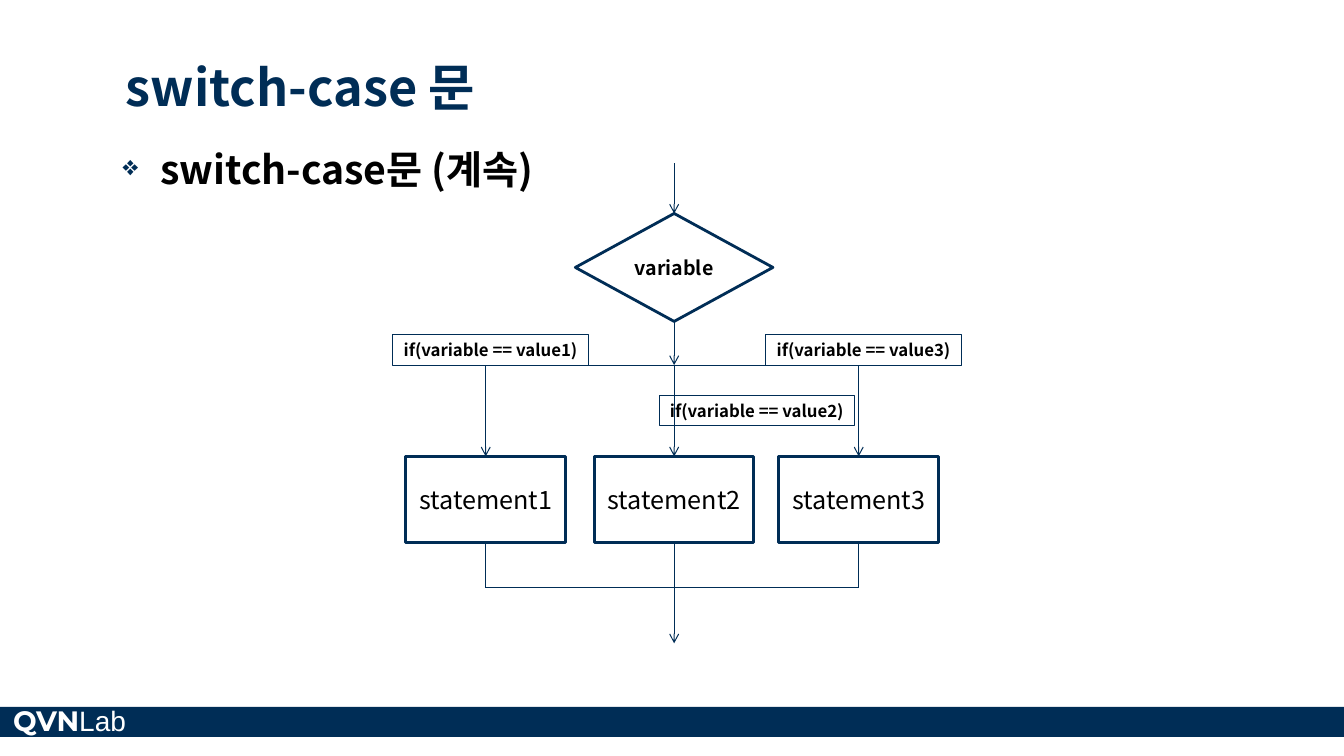
from dataclasses import dataclass
from lxml import etree
from pptx import Presentation
from pptx.dml.color import RGBColor
from pptx.enum import shapes as es, text as et
from pptx.oxml import ns
from pptx.util import Cm, Pt


@dataclass(frozen=True)
class Theme:
    navy: RGBColor = RGBColor(0x00, 0x2D, 0x56)
    white: RGBColor = RGBColor(0xFF, 0xFF, 0xFF)
    black: RGBColor = RGBColor(0, 0, 0)
    face: str = "Noto Sans CJK KR"
    title: int = 36
    body: int = 28
    brand: int = 20
    step: int = 18
    test: int = 14
    label: int = 12
    thin: float = 0.75
    thick: float = 2


T = Theme()
SHAPE = es.MSO_SHAPE
MID = 16.99
TOP, FORK, BOX, JOIN = 5.38, 9.2, 11.5, 14.81
BOX_W, BOX_H = 4.02, 2.17
LANES = (12.24, MID, 21.64)
LABELS = ((9.9, 8.43), (16.61, 9.96), (19.3, 8.43))


def tag(parent, name, **attrs):
    return etree.SubElement(parent, ns.qn(name), attrs)


def put(item, **vals):
    for key, val in vals.items():
        setattr(item, key, val)


def write(para, words, size, color=T.black, bold=True, face=T.face):
    run = para.add_run()
    run.text = words
    put(run.font, size=Pt(size), bold=bold, name=face)
    run.font.color.rgb = color
    tag(run.font._element, "a:ea", typeface=face)


def place(item, x, y, w, h):
    put(item, left=Cm(x), top=Cm(y), width=Cm(w), height=Cm(h))


def text_box(slide, x, y, w, h):
    box = slide.shapes.add_textbox(Cm(x), Cm(y), Cm(w), Cm(h))
    box.text_frame.word_wrap = True
    return box.text_frame.paragraphs[0]


def node(slide, kind, x, y, w, h, fill=None, line=None):
    item = slide.shapes.add_shape(kind, Cm(x), Cm(y), Cm(w), Cm(h))
    item.shadow.inherit = False
    if fill is None:
        item.fill.background()
    else:
        item.fill.solid()
        item.fill.fore_color.rgb = fill
    if line is None:
        item.line.fill.background()
    else:
        item.line.color.rgb = T.navy
        item.line.width = Pt(line)
    frame = item.text_frame
    put(frame, word_wrap=False, vertical_anchor=et.MSO_ANCHOR.MIDDLE)
    para = frame.paragraphs[0]
    para.alignment = et.PP_ALIGN.CENTER
    return para


def link(slide, x1, y1, x2, y2, arrow=False):
    line = slide.shapes.add_connector(
        es.MSO_CONNECTOR.STRAIGHT, Cm(x1), Cm(y1), Cm(x2), Cm(y2))
    line.line.color.rgb = T.navy
    line.line.width = Pt(T.thin)
    if arrow:
        tag(line.line._get_or_add_ln(), "a:tailEnd", type="arrow")
    tag(line._element.spPr, "a:effectLst")


def footer(slide):
    node(slide, SHAPE.RECTANGLE, 0, 17.81, 33.87, 0.76, T.navy)
    para = text_box(slide, 0.08, 17.6, 3.86, 1.12)
    write(para, "QVN", T.brand, T.white, face="Montserrat")
    write(para, "Lab", T.brand, T.white, False, "Arial")


def heading(slide):
    title = slide.shapes.title
    place(title, 2.92, 0.33, 26.47, 2.74)
    put(title.text_frame, vertical_anchor=et.MSO_ANCHOR.BOTTOM,
        auto_size=et.MSO_AUTO_SIZE.NONE)
    para = title.text_frame.paragraphs[0]
    para.alignment = et.PP_ALIGN.LEFT
    write(para, "switch-case 문", T.title, T.navy)


def bullet(slide):
    para = text_box(slide, 2.84, 3.53, 29.26, 13.41)
    write(para, "switch-case문 (계속)", T.body)
    props = para._p.get_or_add_pPr()
    props.set("marL", str(Cm(0.95)))
    props.set("indent", str(Cm(-0.95)))
    tint = tag(props, "a:buClr")
    tag(tint, "a:srgbClr", val=str(T.navy))
    tag(props, "a:buSzPct", val="70000")
    tag(props, "a:buChar", char="❖")


def chart(slide):
    link(slide, MID, 4.11, MID, TOP, True)
    test = node(slide, SHAPE.FLOWCHART_DECISION, MID - 2.49, TOP,
                4.98, 2.72, T.white, T.thick)
    write(test, "variable", T.test)
    link(slide, MID, 8.12, MID, FORK, True)
    for y in (FORK, JOIN):
        link(slide, LANES[0], y, LANES[-1], y)
    for num, (x, spot) in enumerate(zip(LANES, LABELS), 1):
        step = node(slide, SHAPE.FLOWCHART_PROCESS, x - BOX_W / 2, BOX,
                    BOX_W, BOX_H, T.white, T.thick)
        write(step, f"statement{num}", T.step, bold=False)
        link(slide, x, FORK, x, BOX, True)
        link(slide, x, BOX + BOX_H, x, JOIN)
        label = node(slide, SHAPE.RECTANGLE, *spot, 4.93, 0.77, line=T.thin)
        write(label, f"if(variable == value{num})", T.label)
    link(slide, MID, JOIN, MID, 16.21, True)


def main():
    deck = Presentation()
    put(deck, slide_width=Cm(33.87), slide_height=Cm(19.05))
    slide = deck.slides.add_slide(deck.slide_layouts[5])
    footer(slide)
    heading(slide)
    bullet(slide)
    chart(slide)
    deck.save("out.pptx")


main()
